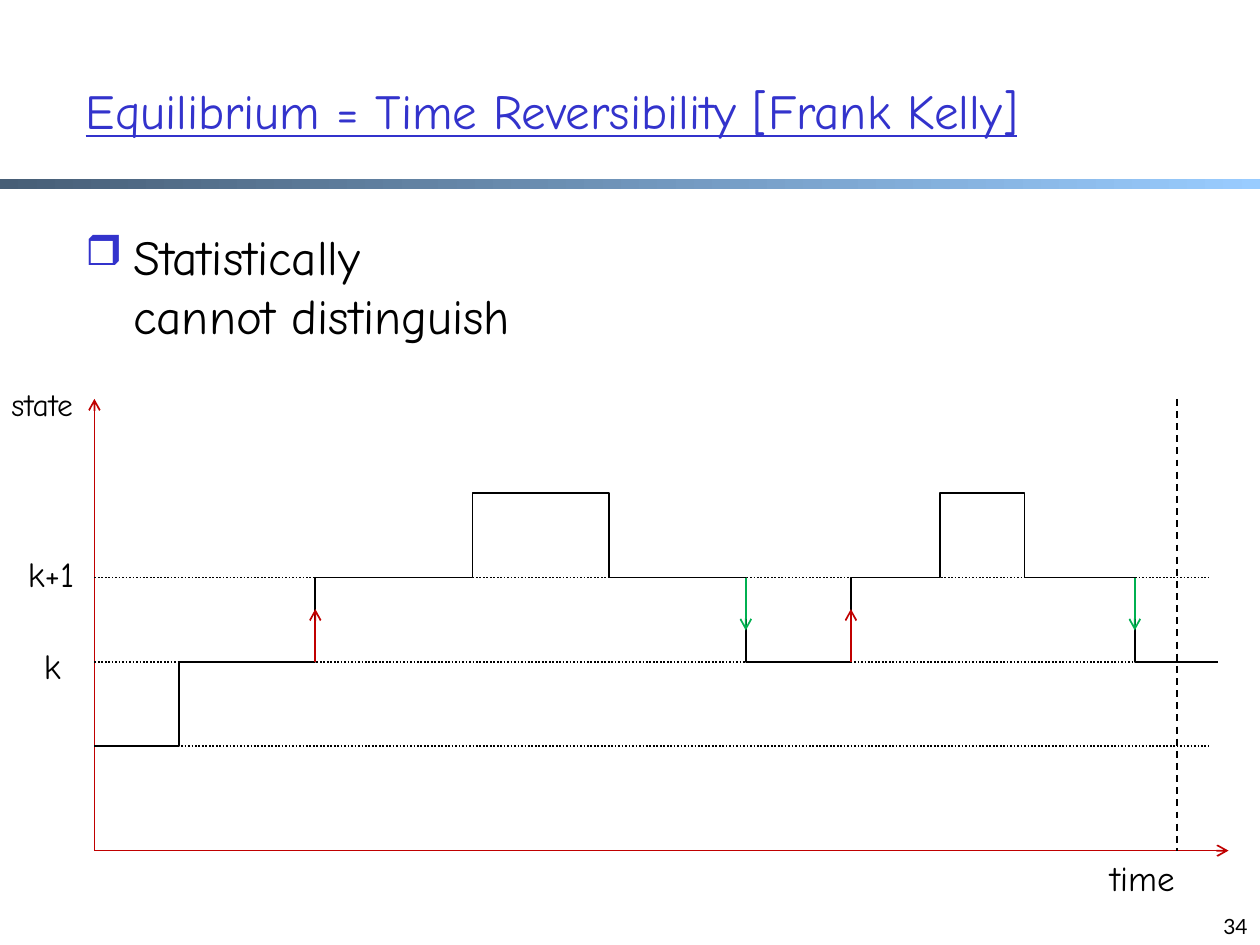
from pptx import Presentation
from pptx import util as u
from pptx.dml.color import RGBColor
from pptx.enum import dml, shapes, text
from pptx.oxml import parse_xml
from pptx.oxml.ns import nsdecls

FONT = "Comic Neue"
BLUE, BLACK, RED, GREEN = "3333CC", "000000", "C00000", "00B050"
TITLE = "Equilibrium = Time Reversibility [Frank Kelly]"
BODY = ["Statistically", "cannot distinguish"]
LABELS = [
    ("time", 8.68, 6.76, 0.79, 0.44, 20),
    ("state", -0.08, 3.01, 0.83, 0.41, 18),
    ("k", 0.24, 5.07, 0.35, 0.44, 20),
    ("k+1", 0.1, 4.34, 0.61, 0.44, 20),
]
LEFT, BASE, TOP = 0.75, 6.76, 3.17
LEVELS = [5.93, 5.26, 4.59, 3.92]
STEPS = [
    (0.75, 2.09, 0, 1), (1.84, 3.17, 1, 2), (3.09, 4.42, 2, 3),
    (4.17, 5.51, 3, 2), (5.26, 6.59, 2, 1), (6.09, 7.43, 1, 2),
    (6.93, 8.01, 2, 3), (7.68, 8.6, 3, 2), (8.35, 9.68, 2, 1),
]
JUMP = 0.42

deck = Presentation()
deck.slide_width, deck.slide_height = u.Inches(10.01), u.Inches(7.51)
slide = deck.slides.add_slide(deck.slide_layouts[5])


def color(code):
    return RGBColor.from_string(code)


def place(shape, *box):
    shape.left, shape.top, shape.width, shape.height = map(u.Inches, box)


def write(par, words, size, code=BLACK, face=FONT):
    run = par.add_run()
    run.text = words
    run.font.size, run.font.name = u.Pt(size), face
    run.font.color.rgb = color(code)
    return run


def box(*area, wrap=True):
    frame = slide.shapes.add_textbox(*map(u.Inches, area)).text_frame
    frame.word_wrap = wrap
    return frame


def line(x1, y1, x2, y2, code=BLACK, dash=None, arrow=False, bent=False):
    kind = shapes.MSO_CONNECTOR.ELBOW if bent else shapes.MSO_CONNECTOR.STRAIGHT
    link = slide.shapes.add_connector(kind, *map(u.Inches, (x1, y1, x2, y2)))
    link.line.width = u.Pt(1)
    link.line.color.rgb = color(code)
    if dash:
        link.line.dash_style = dash
    if arrow:
        link.line._get_or_add_ln().append(
            parse_xml(f'<a:tailEnd {nsdecls("a")} type="arrow"/>'))
    link._element.spPr.append(parse_xml(f'<a:effectLst {nsdecls("a")}/>'))


bar = slide.shapes.add_shape(
    shapes.MSO_SHAPE.RECTANGLE, 0, u.Inches(1.42), deck.slide_width, u.Inches(0.08))
bar.shadow.inherit = False
bar.line.fill.background()
bar.fill.gradient()
bar.fill.gradient_angle = 0
for stop, code in zip(bar.fill.gradient_stops, ("475E76", "99CCFF")):
    stop.color.rgb = color(code)

title = slide.shapes.title
place(title, 0.58, 0.25, 8.51, 1.25)
frame = title.text_frame
frame.vertical_anchor = text.MSO_ANCHOR.MIDDLE
frame.auto_size = text.MSO_AUTO_SIZE.NONE
frame.paragraphs[0].alignment = text.PP_ALIGN.LEFT
write(frame.paragraphs[0], TITLE, 28, BLUE).font.underline = True

par = box(0.58, 1.75, 8.51, 5.09).paragraphs[0]
props = par._p.get_or_add_pPr()
props.set("marL", str(u.Inches(0.38)))
props.set("indent", str(u.Inches(-0.38)))
for part in (f'buClr {nsdecls("a")}><a:srgbClr val="{BLUE}"/></a:buClr>',
             f'buSzPct {nsdecls("a")} val="85000"/>',
             f'buChar {nsdecls("a")} char="❒"/>'):
    props.append(parse_xml("<a:" + part))
for i, words in enumerate(BODY):
    if i:
        par.add_line_break()
    write(par, words, 28)

frame = box(7.68, 7.01, 2.33, 0.5)
frame.vertical_anchor = text.MSO_ANCHOR.BOTTOM
frame.paragraphs[0].alignment = text.PP_ALIGN.RIGHT
write(frame.paragraphs[0], "34", 12, face="Lato")

line(LEFT, BASE, 9.76, BASE, RED, arrow=True)
line(LEFT, BASE, LEFT, TOP, RED, arrow=True)

for words, x, y, w, h, size in LABELS:
    par = box(x, y, w, h, wrap=False).paragraphs[0]
    par.alignment = text.PP_ALIGN.CENTER
    write(par, words, size)

for y in LEVELS[:3]:
    line(LEFT, y, 9.6, y, dash=dml.MSO_LINE.ROUND_DOT)

for x1, x2, a, b in STEPS:
    line(x1, LEVELS[a], x2, LEVELS[b], bent=True)
    if {a, b} == {1, 2}:
        mid, y, up = (x1 + x2) / 2, LEVELS[a], b > a
        line(mid, y, mid, y - JUMP if up else y + JUMP,
             RED if up else GREEN, arrow=True)

line(9.35, TOP, 9.35, BASE, dash=dml.MSO_LINE.DASH)

deck.save("out.pptx")
